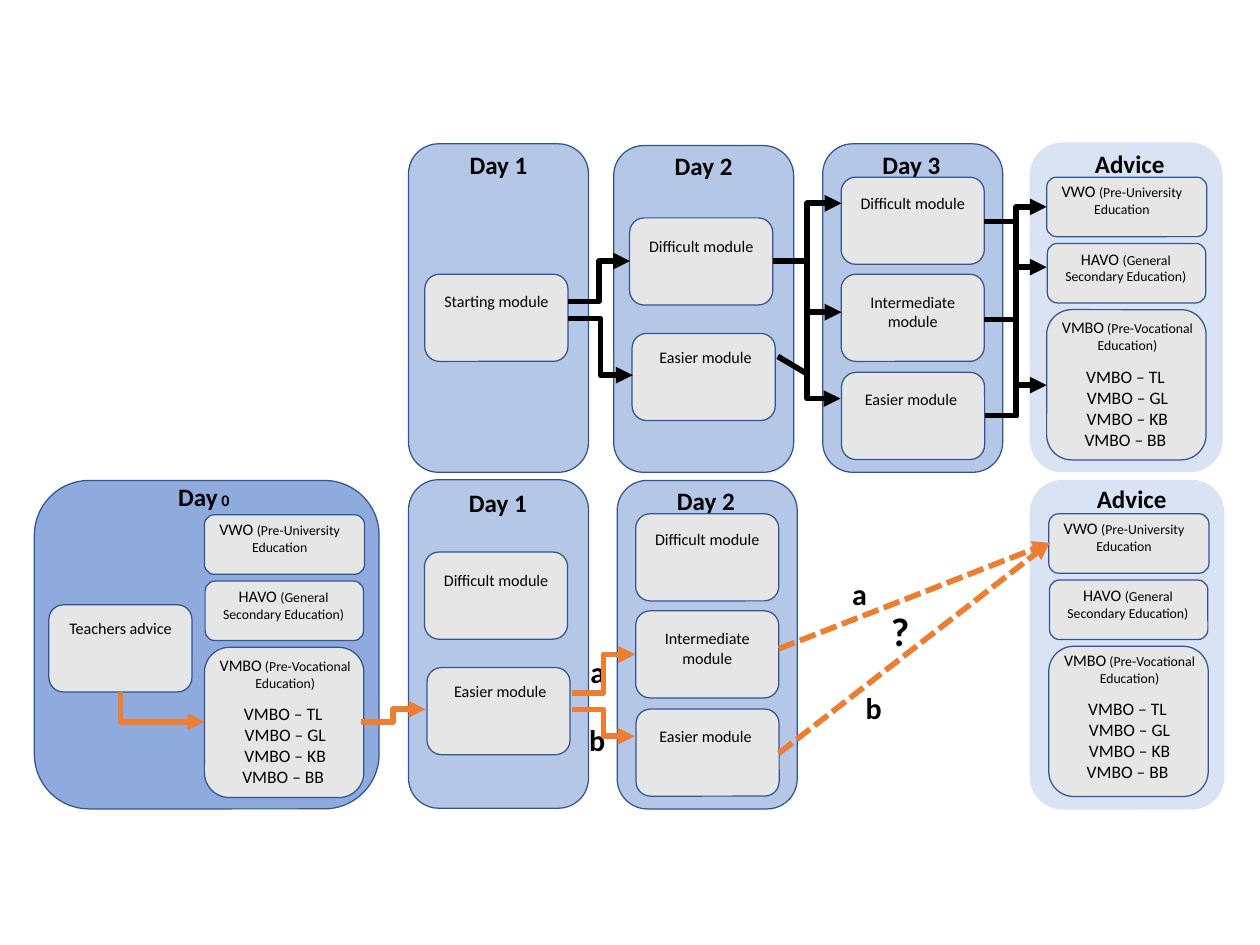
from pptx import Presentation
from pptx.dml.color import RGBColor
from pptx.enum.dml import MSO_LINE
from pptx.enum.shapes import MSO_CONNECTOR, MSO_SHAPE
from pptx.enum.text import MSO_AUTO_SIZE as AutoSize, PP_ALIGN
from pptx.oxml.ns import qn
from pptx.util import Cm, Pt
from lxml.etree import SubElement

PANEL, PANEL_DARK, PANEL_LIGHT = "B4C7E7", "8FAADC", "DAE3F3"
BOX, OUTLINE, BLACK, ORANGE = "E7E6E6", "325491", "000000", "ED7D31"
PANEL_W, PANEL_H = 5.08, 9.27
MODULE_W, MODULE_H = 4.04, 2.46
DIFFICULT, INTERMEDIATE, EASIER = "Difficult module", "Intermediate module", "Easier module"

# Modules of a panel: name, left, top, label shift right, label shift down
THREE_MODULES = [
    (DIFFICULT, 0.52, 0.94, 0, 0.33),
    (INTERMEDIATE, 0.52, 3.68, 0, 0.38),
    (EASIER, 0.53, 6.45, -0.06, 0.36),
]
TWO_MODULES = [
    (DIFFICULT, 0.45, 2.04, 0, 0.39),
    (EASIER, 0.52, 5.3, 0.05, 0.28),
]


def color(value):
    return RGBColor.from_string(value)


def add_box(slide, left, top, width, height, fill, line=OUTLINE):
    shape = slide.shapes.add_shape(
        MSO_SHAPE.ROUNDED_RECTANGLE, Cm(left), Cm(top), Cm(width), Cm(height))
    shape.shadow.inherit = False
    shape.fill.solid()
    shape.fill.fore_color.rgb = color(fill)
    shape.line.color.rgb = color(line)
    shape.line.width = Pt(1)
    return shape


def add_text(slide, left, top, width, height, paragraphs, bold=False,
             align=PP_ALIGN.CENTER, wrap=True, gap_after_first=0):
    """Each paragraph is a list of (text, size) runs."""
    text_box = slide.shapes.add_textbox(Cm(left), Cm(top), Cm(width), Cm(height))
    frame = text_box.text_frame
    frame.word_wrap = wrap
    frame.auto_size = AutoSize.SHAPE_TO_FIT_TEXT
    for index, runs in enumerate(paragraphs):
        paragraph = frame.add_paragraph() if index else frame.paragraphs[0]
        paragraph.alignment = align
        if index == 1:
            paragraph.space_before = Pt(gap_after_first)
        for text, size in runs:
            run = paragraph.add_run()
            run.text = text
            run.font.name = "Calibri"
            run.font.size = Pt(size)
            run.font.bold = bold
            run.font.color.rgb = color(BLACK)


def draw_panel(slide, left, top, title, width=PANEL_W, height=PANEL_H,
               fill=PANEL, line=OUTLINE, title_shift=(0, 0), modules=()):
    """A day or advice panel with its title and modules."""
    add_box(slide, left, top, width, height, fill, line)
    shift_x, shift_y = title_shift
    add_text(slide, left + shift_x, top + shift_y, width, 1.12, [title], bold=True)
    for name, x, y, label_x, label_y in modules:
        add_box(slide, left + x, top + y, MODULE_W, MODULE_H, BOX)
        label_height = 1.35 if name == INTERMEDIATE else 0.81
        add_text(slide, left + x + label_x, top + y + label_y, MODULE_W,
                 label_height, [[(name, 12.9)]])


def draw_levels(slide, left, top, vmbo_label_y=3.84):
    """The three school levels, stacked."""
    add_box(slide, left, top, 4.52, 1.68, BOX)
    add_box(slide, left + 0.02, top + 1.87, 4.47, 1.68, BOX)
    add_box(slide, left, top + 3.74, 4.5, 4.24, BOX)
    add_text(slide, left + 0.13, top, 3.99, 1.27,
             [[("VWO ", 12.9), ("(Pre-University Education", 11)]])
    add_text(slide, left, top + 1.9, 4.47, 1.27,
             [[("HAVO ", 12.9), ("(General Secondary Education)", 11)]])
    tracks = ["VMBO – TL ", "VMBO – GL", "VMBO – KB", "VMBO – BB "]
    add_text(slide, left + 0.04, top + vmbo_label_y, 4.48, 4.01,
             [[("VMBO", 12.9), (" (Pre-Vocational Education)", 11)]]
             + [[(track, 14)] for track in tracks], gap_after_first=9.8)


def draw_line(slide, start, end, line=BLACK, elbow=False, head=True, dashed=False):
    kind = MSO_CONNECTOR.ELBOW if elbow else MSO_CONNECTOR.STRAIGHT
    connector = slide.shapes.add_connector(
        kind, *(Cm(value) for value in (*start, *end)))
    connector.line.color.rgb = color(line)
    connector.line.width = Pt(4.5)
    if dashed:
        connector.line.dash_style = MSO_LINE.SQUARE_DOT
    if head:
        SubElement(connector.line._get_or_add_ln(), qn("a:tailEnd"), type="triangle")
    SubElement(connector._element.spPr, qn("a:effectLst"))
    return connector


def draw_corner(slide, start, end, line=BLACK):
    """An arrow that runs down, then right: one bend, turned by 270 degrees."""
    center_x, center_y = (start[0] + end[0]) / 2, (start[1] + end[1]) / 2
    half_w, half_h = (end[1] - start[1]) / 2, (end[0] - start[0]) / 2
    connector = draw_line(slide, (center_x - half_w, center_y - half_h),
                          (center_x + half_w, center_y + half_h), line, elbow=True)
    properties = connector._element.spPr
    transform = properties.find(qn("a:xfrm"))
    transform.set("rot", str(270 * 60000))
    transform.set("flipH", "1")
    properties.find(qn("a:prstGeom")).set("prst", "bentConnector2")


def draw_top_row(slide, top):
    """Route over three days."""
    draw_panel(slide, 11.53, top, [("Day 1", 20)], title_shift=(0, 0.03),
               modules=[("Starting module", 0.46, 3.68, 0, 0.36)])
    draw_panel(slide, 17.32, top + 0.05, [("Day 2", 20)], height=9.22,
               modules=TWO_MODULES)
    draw_panel(slide, 23.22, top, [("Day 3", 20)], title_shift=(-0.04, 0.03),
               modules=THREE_MODULES)
    draw_panel(slide, 29.08, top - 0.02, [("Advice", 20)], width=5.41,
               fill=PANEL_LIGHT, line=PANEL_LIGHT, title_shift=(0.1, 0.03))
    draw_levels(slide, 29.54, top + 0.94)

    # Day 1 to day 2
    draw_line(slide, (16.03, top + 4.45), (17.78, top + 3.31), elbow=True)
    draw_line(slide, (16.03, top + 4.93), (17.86, top + 6.53), elbow=True)
    # Day 2 to day 3
    for y in (1.68, 4.75):
        draw_line(slide, (21.82, top + 3.31), (23.75, top + y), elbow=True)
    draw_corner(slide, (22.78, top + 3.31), (23.72, top + 7.19))
    draw_line(slide, (21.95, top + 6), (22.76, top + 6.48), head=False)
    # Day 3 to advice
    for y in (6.81, 3.48, 1.78):
        draw_line(slide, (27.81, top + 7.67), (29.54, top + y), elbow=True)
    for y in (4.96, 2.19):
        draw_line(slide, (27.78, top + y), (28.69, top + y), head=False)


def draw_bottom_row(slide, top):
    """Route that starts from the teachers' advice."""
    draw_panel(slide, 0.97, top, [("Day", 20), (" 0", 12.9)], width=9.73,
               fill=PANEL_DARK, title_shift=(-0.08, -0.1),
               modules=[("Teachers advice", 0.41, 3.51, 0, 0.25)])
    draw_levels(slide, 5.77, top + 0.97)
    draw_panel(slide, 11.53, top - 0.02, [("Day 1", 20)], title_shift=(-0.02, 0.08),
               modules=TWO_MODULES)
    draw_panel(slide, 17.42, top, [("Day 2", 20)], title_shift=(-0.04, 0.03),
               modules=THREE_MODULES)
    draw_panel(slide, 29.08, top, [("Advice", 20)], width=5.46,
               fill=PANEL_LIGHT, line=PANEL_LIGHT, title_shift=(0.13, -0.03))
    draw_levels(slide, 29.6, top + 0.94, vmbo_label_y=3.73)

    # Route marks
    marks = [("a", 16.41, 4.75, 24), ("b", 16.38, 6.68, 24), ("?", 24.89, 3.43, 32),
             ("a", 23.8, 2.57, 24), ("b", 24.18, 5.77, 24)]
    for text, x, y, size in marks:
        add_text(slide, x, top + y, 0.95, size * 0.05, [[(text, size)]], bold=True,
                 align=PP_ALIGN.LEFT, wrap=False)

    # Teachers' advice to level, then level to day 1
    draw_corner(slide, (3.4, top + 5.97), (5.77, top + 6.81), ORANGE)
    draw_line(slide, (10.19, top + 6.81), (12.01, top + 6.46), ORANGE, elbow=True)
    # Day 1 to day 2
    draw_line(slide, (16.13, top + 6), (17.93, top + 4.91), ORANGE, elbow=True)
    draw_line(slide, (16.15, top + 6.46), (17.91, top + 7.22), ORANGE, elbow=True)
    # Open routes to advice
    for y in (7.7, 4.75):
        draw_line(slide, (21.98, top + y), (29.62, top + 1.76), ORANGE, dashed=True)


def main():
    presentation = Presentation()
    presentation.slide_width, presentation.slide_height = Cm(35.56), Cm(26.67)
    slide = presentation.slides.add_slide(presentation.slide_layouts[6])
    draw_top_row(slide, 4.06)
    draw_bottom_row(slide, 13.56)
    presentation.save("out.pptx")


if __name__ == "__main__":
    main()
